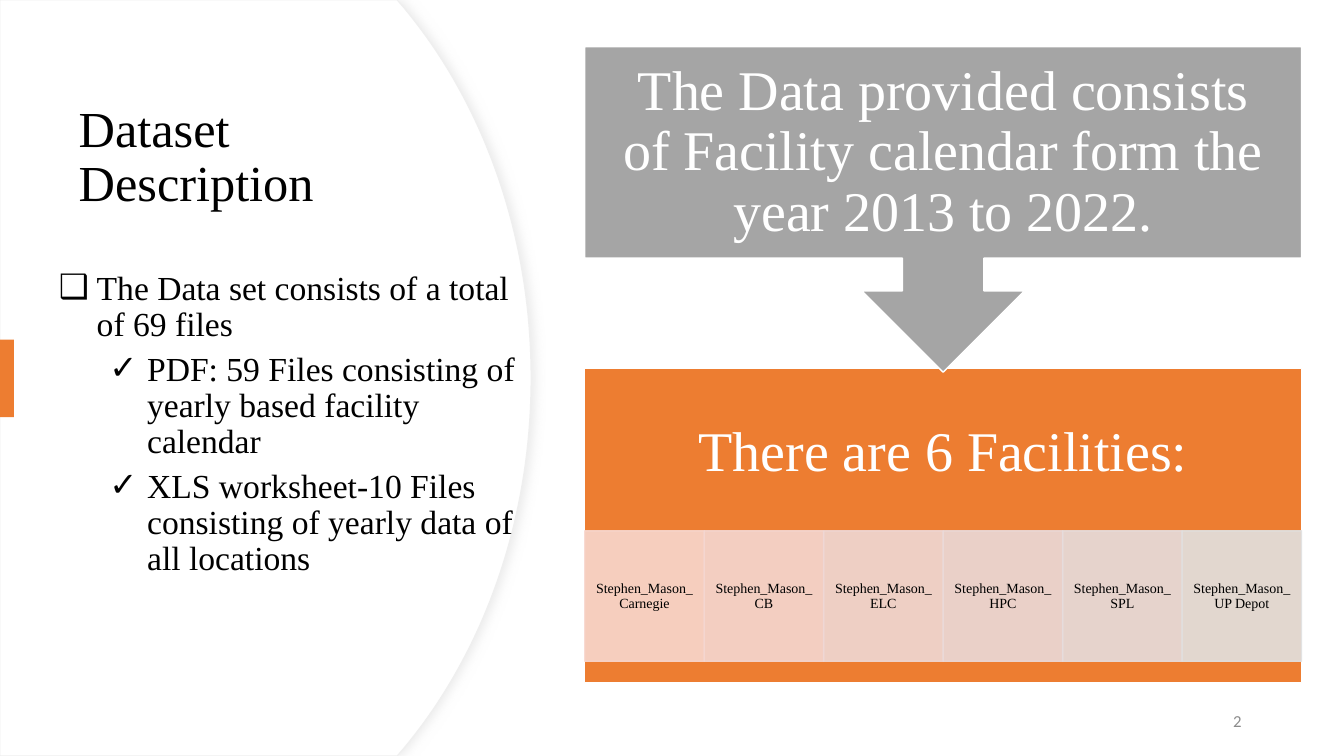
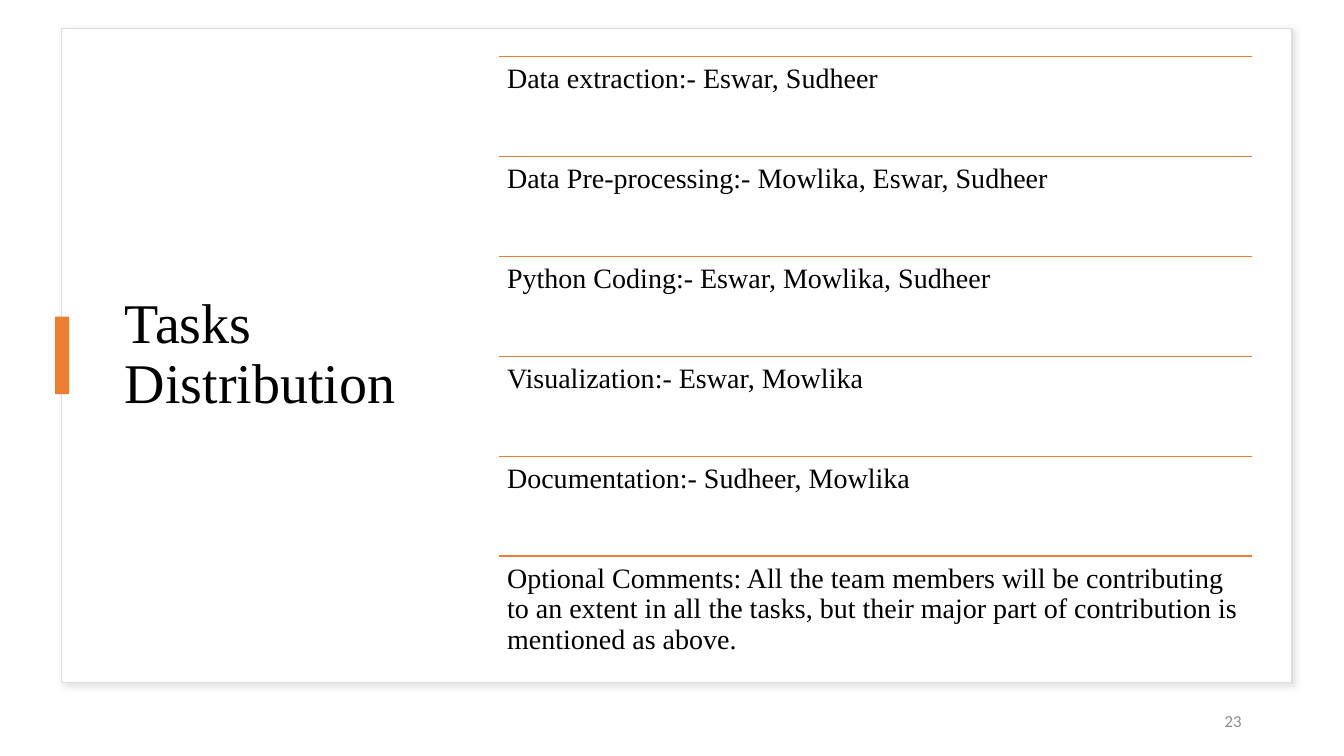
from dataclasses import dataclass

from lxml import etree
from pptx import Presentation
from pptx.dml.color import RGBColor
from pptx.enum import shapes, text
from pptx.oxml import ns
from pptx.util import Pt


@dataclass(frozen=True)
class Theme:
    serif: str = "Times New Roman"
    sans: str = "Calibri"
    ink: str = "000000"
    paper: str = "FFFFFF"
    accent: str = "ED7D31"
    grey: str = "A5A5A5"
    page_grey: str = "8C8C8C"
    curve_edge: str = "EFEFEF"
    card_edge: str = "DEDEDE"
    curve_shadow: str = "D9D9D9"
    card_shadow: str = "C5C3C3"
    tints: tuple = ("F8D7CE", "F4D7D1", "EFD8D5", "EADAD9", "E6DDDD", "E1E1E1")
    headline: int = 40
    title: int = 36
    body: int = 24
    row: int = 20
    page: int = 12
    label: int = 10
    leading: float = 0.9


LEFT, CENTER, RIGHT = text.PP_ALIGN.LEFT, text.PP_ALIGN.CENTER, text.PP_ALIGN.RIGHT
TOP, MIDDLE = text.MSO_ANCHOR.TOP, text.MSO_ANCHOR.MIDDLE
SHAPE = shapes.MSO_SHAPE


def points(*lengths):
    return [Pt(length) for length in lengths]


def apply(target, values):
    for name, value in values.items():
        setattr(target, name, value)


def child(parent, tag, **attributes):
    return etree.SubElement(parent, ns.qn(tag), {k: str(v) for k, v in attributes.items()})


def bezier(start, pull_a, pull_b, end, steps=40):
    """Points along a cubic curve, the start left out."""
    curve = []
    for step in range(1, steps + 1):
        t = step / steps
        weights = ((1 - t) ** 3, 3 * t * (1 - t) ** 2, 3 * t * t * (1 - t), t ** 3)
        curve.append(tuple(sum(w * p[axis] for w, p in zip(weights, (start, pull_a, pull_b, end)))
                           for axis in (0, 1)))
    return curve


class Deck:
    WIDTH, HEIGHT = 960, 540

    def __init__(self, theme):
        self.theme = theme
        self.file = Presentation()
        apply(self.file, {"slide_width": Pt(self.WIDTH), "slide_height": Pt(self.HEIGHT)})
        self.slide = None

    def start(self, layout, page):
        self.slide = self.file.slides.add_slide(self.file.slide_layouts[layout])
        self.label((678, 500, 216, 29), page, size=self.theme.page, color=self.theme.page_grey,
                   font=self.theme.sans, align=RIGHT, anchor=MIDDLE, leading=1)

    def typeset(self, frame, lines, size, color=None, font=None, align=LEFT, anchor=TOP,
                leading=None, after=0, insets=(7.2, 3.6, 7.2, 3.6)):
        sides = ("margin_left", "margin_top", "margin_right", "margin_bottom")
        apply(frame, {"word_wrap": True, "auto_size": text.MSO_AUTO_SIZE.NONE,
                      "vertical_anchor": anchor, **dict(zip(sides, points(*insets)))})
        frame.text = "\n".join(lines)
        for paragraph in frame.paragraphs:
            apply(paragraph, {"alignment": align, "space_before": Pt(0), "space_after": Pt(after),
                              "line_spacing": leading or self.theme.leading})
            for run in paragraph.runs:
                apply(run.font, {"name": font or self.theme.serif, "size": Pt(size)})
                run.font.color.rgb = RGBColor.from_string(color or self.theme.ink)

    def place(self, holder, box):
        """Move a placeholder and bring it to the front."""
        apply(holder, dict(zip(("left", "top", "width", "height"), points(*box))))
        holder.element.getparent().append(holder.element)

    def title(self, box, words, size):
        holder = self.slide.shapes.title
        self.place(holder, box)
        self.typeset(holder.text_frame, [words], size, anchor=MIDDLE)

    def bullets(self, box, items):
        """Fill the body from (level, text) pairs."""
        holder = self.slide.placeholders[1]
        self.place(holder, box)
        frame = holder.text_frame
        self.typeset(frame, [words for _, words in items], self.theme.body, after=6)
        for paragraph, (level, _) in zip(frame.paragraphs, items):
            paragraph.level = level
            properties = paragraph._p.get_or_add_pPr()
            properties.set("marL", str(Pt(31.7 + 36 * level)))
            properties.set("indent", str(-Pt(27)))
            child(properties, "a:buChar", char="❑✓"[level])

    def label(self, box, words, **style):
        self.typeset(self.slide.shapes.add_textbox(*points(*box)).text_frame, [words], **style)

    def paint(self, shape, fill, edge=None, weight=1, opacity=100, shadow=None):
        """Style a shape; shadow is (colour, blur, distance, angle)."""
        shape.fill.solid()
        shape.fill.fore_color.rgb = RGBColor.from_string(fill)
        if edge:
            shape.line.color.rgb = RGBColor.from_string(edge)
            shape.line.width = Pt(weight)
        else:
            shape.line.fill.background()
        properties = shape.element.spPr
        if opacity < 100:
            for color in properties.iter(ns.qn("a:srgbClr")):
                child(color, "a:alpha", val=opacity * 1000)
        shape.shadow.inherit = False
        if shadow:
            color, blur, distance, angle = shadow
            outer = child(properties.find(ns.qn("a:effectLst")), "a:outerShdw",
                          blurRad=Pt(blur), dist=Pt(distance), dir=angle * 60000,
                          algn="tl", rotWithShape=0)
            child(child(outer, "a:srgbClr", val=color), "a:alpha", val=50000)

    def block(self, box, fill, kind=SHAPE.RECTANGLE, words=None, style=None, **look):
        shape = self.slide.shapes.add_shape(kind, *points(*box))
        self.paint(shape, fill, **look)
        if words:
            self.typeset(shape.text_frame, [words], align=CENTER, anchor=MIDDLE, **style)

    def accent_bar(self, left, top):
        self.block((left, top, 10, 55.4), self.theme.accent)

    def curved_panel(self):
        shoulder, middle = (288.7, 5.8), (379.4, self.HEIGHT / 2)
        upper = [shoulder] + bezier(shoulder, (344.9, 73.4), (379.4, 167), middle)
        lower = [(x, self.HEIGHT - y) for x, y in reversed(upper[:-1])]
        outline = [(283.7, 0), *upper, *lower, (283.7, self.HEIGHT), (0, self.HEIGHT)]
        builder = self.slide.shapes.build_freeform(0, 0)
        builder.add_line_segments([points(*corner) for corner in outline], close=True)
        self.paint(builder.convert_to_shape(), self.theme.paper, edge=self.theme.curve_edge,
                   weight=0.75, shadow=(self.theme.curve_shadow, 7, 3, 0))

    def rule(self, left, top, width):
        line = self.slide.shapes.add_connector(
            shapes.MSO_CONNECTOR.STRAIGHT, *points(left, top, left + width, top))
        line.line.color.rgb = RGBColor.from_string(self.theme.accent)
        line.line.width = Pt(1)
        child(line.element.spPr, "a:effectLst")


def dataset_slide(deck):
    theme = deck.theme
    deck.start(layout=1, page="2")
    deck.curved_panel()
    deck.title((49, 68, 283.7, 90), "Dataset Description", theme.title)
    deck.accent_bar(0, 242.6)
    deck.bullets((30.2, 190, 349.2, 252.7), [
        (0, "The Data set consists of a total of 69 files"),
        (1, "PDF: 59 Files consisting of yearly based facility calendar"),
        (1, "XLS worksheet-10 Files consisting of yearly data of all locations"),
    ])

    left, width = 417.7, 512
    big = {"size": theme.headline, "color": theme.paper}
    deck.block((left, 263, width, 224.6), theme.accent, edge=theme.paper,
               words="There are 6 Facilities:", style={**big, "insets": (22.4, 22.4, 22.4, 126)})
    facilities = ("Carnegie", "CB", "ELC", "HPC", "SPL", "UP Depot")
    cell = width / len(facilities)
    for column, (facility, tint) in enumerate(zip(facilities, theme.tints)):
        deck.block((left + column * cell, 379.2, cell, 93.2), tint, edge=tint, opacity=90,
                   words=f"Stephen_Mason_{facility}",
                   style={"size": theme.label, "insets": (5.8, 0.9, 5.8, 0.9)})
    deck.block((left, 33.3, width, 232.6), theme.grey, SHAPE.DOWN_ARROW_CALLOUT,
               edge=theme.paper,
               words="The Data provided consists of Facility calendar form the year 2013 to 2022.",
               style={**big, "insets": (22.4,) * 4})


def tasks_slide(deck):
    theme = deck.theme
    deck.start(layout=5, page="23")
    deck.block((44, 20.2, 879, 467.3), theme.paper, edge=theme.card_edge,
               shadow=(theme.card_shadow, 4, 3, 45))
    deck.title((82, 39.6, 235.5, 428.4), "Tasks Distribution", theme.headline)
    deck.accent_bar(39.4, 226.2)
    tasks = (
        "Data extraction:- Eswar, Sudheer",
        "Data Pre-processing:- Mowlika, Eswar, Sudheer",
        "Python Coding:- Eswar, Mowlika, Sudheer",
        "Visualization:- Eswar, Mowlika",
        "Documentation:- Sudheer, Mowlika",
        "Optional Comments: All the team members will be contributing to an extent in all "
        "the tasks, but their major part of contribution is mentioned as above.",
    )
    left, width, pitch = 356.4, 537.8, 71.4
    for row, task in enumerate(tasks):
        top = 40.3 + row * pitch
        deck.rule(left, top, width)
        deck.label((left, top, width, pitch), task, size=theme.row, insets=(5.8,) * 4)


def main():
    deck = Deck(Theme())
    dataset_slide(deck)
    tasks_slide(deck)
    deck.file.save("out.pptx")


if __name__ == "__main__":
    main()
